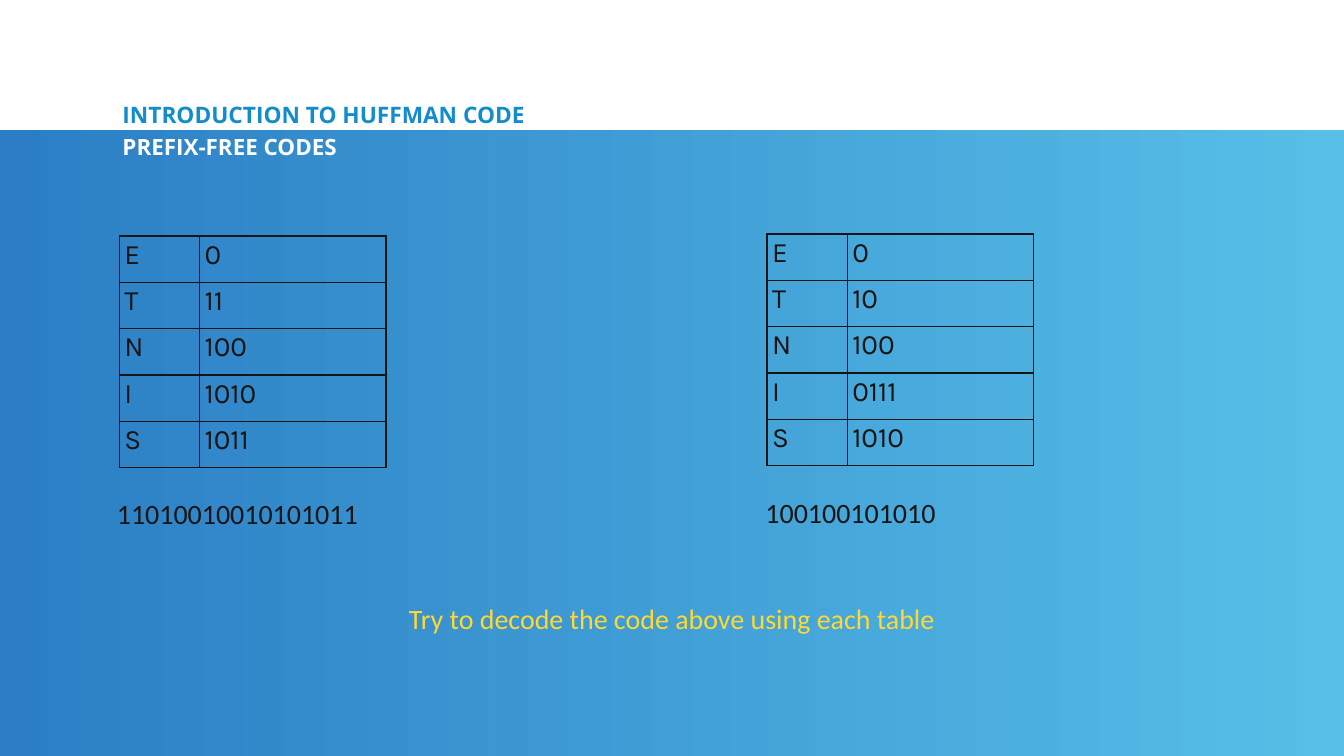
"""Build the slide on prefix-free codes with its two code tables."""
import pptx
import pptx.dml.color
import pptx.enum.shapes
import pptx.enum.text
import pptx.oxml
import pptx.oxml.ns
import pptx.util

Pt = pptx.util.Pt
ALIGN = pptx.enum.text.PP_ALIGN
COLORS = {
    "deep": "2B7EC4",
    "sky": "57BFE8",
    "heading": "128CCD",
    "white": "FFFFFF",
    "ink": "151515",
    "prompt": "FFD932",
}
SYMBOLS = "ETNIS"
ROW_HEIGHT = 66.24
COLUMN_WIDTHS = (114.48, 266.4)


def write(frame, text, font_name, size, color, bold=False, align=ALIGN.LEFT):
    frame.text = text
    frame.word_wrap = True
    frame.vertical_anchor = pptx.enum.text.MSO_ANCHOR.TOP
    paragraph = frame.paragraphs[0]
    paragraph.alignment = align
    paragraph.font.name = font_name
    paragraph.font.size = Pt(size)
    paragraph.font.bold = bold
    paragraph.font.color.rgb = pptx.dml.color.RGBColor.from_string(COLORS[color])
    return paragraph


def outline(cell):
    properties = cell._tc.get_or_add_tcPr()
    for side in "LRTB":
        properties.append(pptx.oxml.parse_xml(
            f'<a:ln{side} {pptx.oxml.ns.nsdecls("a")} w="{Pt(2.25)}"><a:solidFill>'
            f'<a:srgbClr val="{COLORS["ink"]}"/></a:solidFill></a:ln{side}>'))
    cell.fill.background()


deck = pptx.Presentation()
deck.slide_width, deck.slide_height = Pt(1920), Pt(1080)
slide = deck.slides.add_slide(deck.slide_layouts[5])
shapes = slide.shapes

panel = shapes.add_shape(
    pptx.enum.shapes.MSO_SHAPE.RECTANGLE, Pt(0), Pt(186), Pt(1920), Pt(894))
panel.shadow.inherit = False
panel.line.fill.background()
panel.fill.gradient()
panel.fill.gradient_angle = 0
for stop, position, name in zip(panel.fill.gradient_stops, (0, 1), ("deep", "sky")):
    stop.position = position
    stop.color.rgb = pptx.dml.color.RGBColor.from_string(COLORS[name])

heading = shapes.title
heading.element.addprevious(panel.element)
heading.left, heading.top, heading.width, heading.height = (
    Pt(170.64), Pt(147.6), Pt(1158.5), Pt(40.3))
subheading = shapes.add_textbox(Pt(170.64), Pt(190.8), Pt(769), Pt(63.4))
for header, text, size, color, spacing in (
    (heading, "INTRODUCTION TO HUFFMAN CODE", 32.4, "heading", 0.8),
    (subheading, "PREFIX-FREE CODES", 32, "white", 0.9),
):
    frame = header.text_frame
    frame.auto_size = pptx.enum.text.MSO_AUTO_SIZE.NONE
    frame.margin_left = frame.margin_right = Pt(4.32)
    frame.margin_top = frame.margin_bottom = Pt(4.32)
    write(frame, text, "Open Sans", size, color, bold=True).line_spacing = spacing

for left, top, codes in (
    (170.64, 337, ("0", "11", "100", "1010", "1011")),
    (1095.84, 334.1, ("0", "10", "100", "0111", "1010")),
):
    code_table = shapes.add_table(
        len(SYMBOLS), 2, Pt(left), Pt(top),
        Pt(sum(COLUMN_WIDTHS)), Pt(ROW_HEIGHT * len(SYMBOLS))).table
    code_table.first_row = code_table.horz_banding = False
    for column, width in zip(code_table.columns, COLUMN_WIDTHS):
        column.width = Pt(width)
    for row, entry in zip(code_table.rows, zip(SYMBOLS, codes)):
        row.height = Pt(ROW_HEIGHT)
        for cell, text in zip(row.cells, entry):
            write(cell.text_frame, text, "Karla", 40, "ink")
            outline(cell)

for left, top, width, text, color in (
    (1036.8, 704.9, 356.4, "100100101010", "ink"),
    (118.8, 705.6, 440.6, "11010010010101011", "ink"),
    (338.4, 855.4, 1242.7, "Try to decode the code above using each table", "prompt"),
):
    message = shapes.add_textbox(Pt(left), Pt(top), Pt(width), Pt(55.4))
    write(message.text_frame, text, "Calibri", 40, color, align=ALIGN.CENTER)

deck.save("out.pptx")
